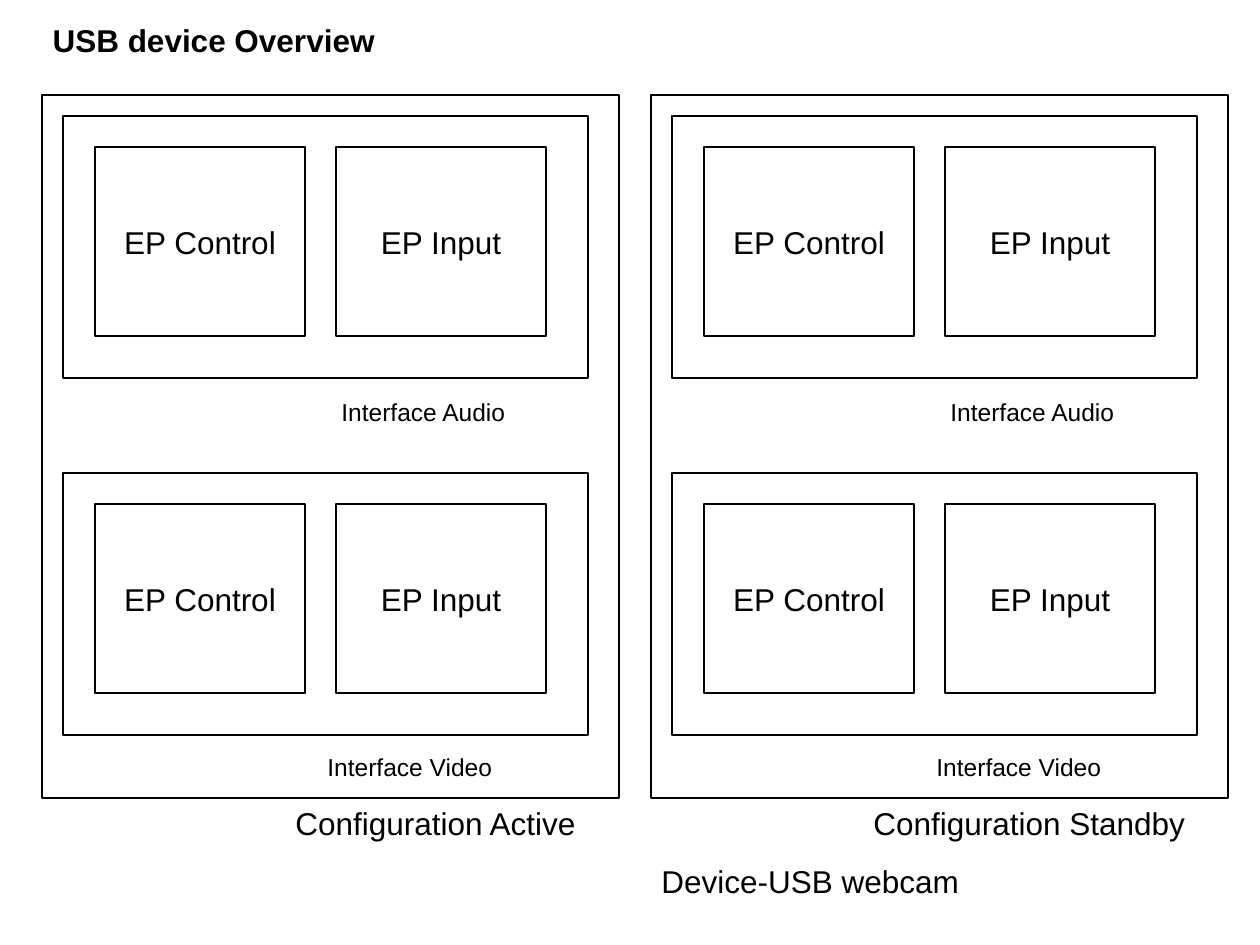
from dataclasses import dataclass

from pptx import Presentation, util as u
from pptx.dml import color
from pptx.enum import shapes, text

SCALE = 914400 / 126
COLORS = {"ink": "000000", "paper": "FFFFFF"}
FRAME_FORMAT = {
    "word_wrap": True,
    "auto_size": text.MSO_AUTO_SIZE.NONE,
    "margin_left": u.Inches(0.1),
    "margin_right": u.Inches(0.1),
    "margin_top": u.Inches(0.05),
    "margin_bottom": u.Inches(0.05),
}


@dataclass(frozen=True)
class Area:
    left: int
    top: int
    width: int
    height: int

    def shifted(self, across: int, down: int = 0) -> "Area":
        return Area(self.left + across, self.top + down, self.width, self.height)

    def emu(self) -> list[u.Emu]:
        lengths = (self.left, self.top, self.width, self.height)
        return [u.Emu(round(length * SCALE)) for length in lengths]


@dataclass(frozen=True)
class Label:
    words: str
    area: Area
    size: int = 18


CONFIGURATION = Area(42, 95, 577, 703)
INTERFACE = Area(63, 116, 525, 262)
ENDPOINT = Area(95, 147, 210, 189)
CONFIGURATION_STEP = 609
INTERFACE_STEP = 357
ENDPOINT_STEP = 241
ENDPOINT_NAMES = ("EP Control", "EP Input")
INTERFACE_LABELS = (
    Label("Interface Audio", Area(329, 391, 210, 43), 14),
    Label("Interface Video", Area(315, 746, 284, 43), 14),
)
PAGE_LABELS = (
    Label("Configuration Active", Area(283, 798, 473, 50)),
    Label("Configuration Standby", Area(861, 798, 360, 50)),
    Label("Device-USB webcam", Area(649, 856, 345, 50)),
)
TITLE = Label("USB device Overview", Area(40, 15, 400, 50))


def rgb(name: str) -> color.RGBColor:
    return color.RGBColor.from_string(COLORS[name])


def write(box, words: str, size: int, bold: bool = False,
          align=text.PP_ALIGN.LEFT, anchor=text.MSO_ANCHOR.TOP) -> None:
    frame = box.text_frame
    for name, value in {**FRAME_FORMAT, "vertical_anchor": anchor}.items():
        setattr(frame, name, value)
    para = frame.paragraphs[0]
    para.alignment = align
    span = para.add_run()
    span.text = words
    font_format = {"name": "Arial", "size": u.Pt(size), "bold": bold}
    for name, value in font_format.items():
        setattr(span.font, name, value)
    span.font.color.rgb = rgb("ink")


def draw_box(page, area: Area, words: str = "") -> None:
    box = page.shapes.add_shape(shapes.MSO_SHAPE.RECTANGLE, *area.emu())
    box.shadow.inherit = False
    box.fill.solid()
    box.fill.fore_color.rgb = rgb("paper")
    box.line.color.rgb = rgb("ink")
    box.line.width = u.Pt(0.75)
    if words:
        write(box, words, 18, align=text.PP_ALIGN.CENTER,
              anchor=text.MSO_ANCHOR.MIDDLE)


def draw_label(page, label: Label, across: int = 0) -> None:
    box = page.shapes.add_textbox(*label.area.shifted(across).emu())
    write(box, label.words, label.size)


def draw_configuration(page, across: int) -> None:
    draw_box(page, CONFIGURATION.shifted(across))
    for row, label in enumerate(INTERFACE_LABELS):
        down = row * INTERFACE_STEP
        draw_box(page, INTERFACE.shifted(across, down))
        for column, name in enumerate(ENDPOINT_NAMES):
            offset = across + column * ENDPOINT_STEP
            draw_box(page, ENDPOINT.shifted(offset, down), name)
        draw_label(page, label, across)


def draw_title(page, label: Label) -> None:
    title = page.shapes.title
    places = ("left", "top", "width", "height")
    for name, value in zip(places, label.area.emu()):
        setattr(title, name, value)
    write(title, label.words, label.size, bold=True)


def main() -> None:
    deck = Presentation()
    deck.slide_width, deck.slide_height = u.Inches(10), u.Inches(7.5)
    page = deck.slides.add_slide(deck.slide_layouts[5])
    draw_title(page, TITLE)
    for column in range(2):
        draw_configuration(page, column * CONFIGURATION_STEP)
    for label in PAGE_LABELS:
        draw_label(page, label)
    deck.save("out.pptx")


if __name__ == "__main__":
    main()
